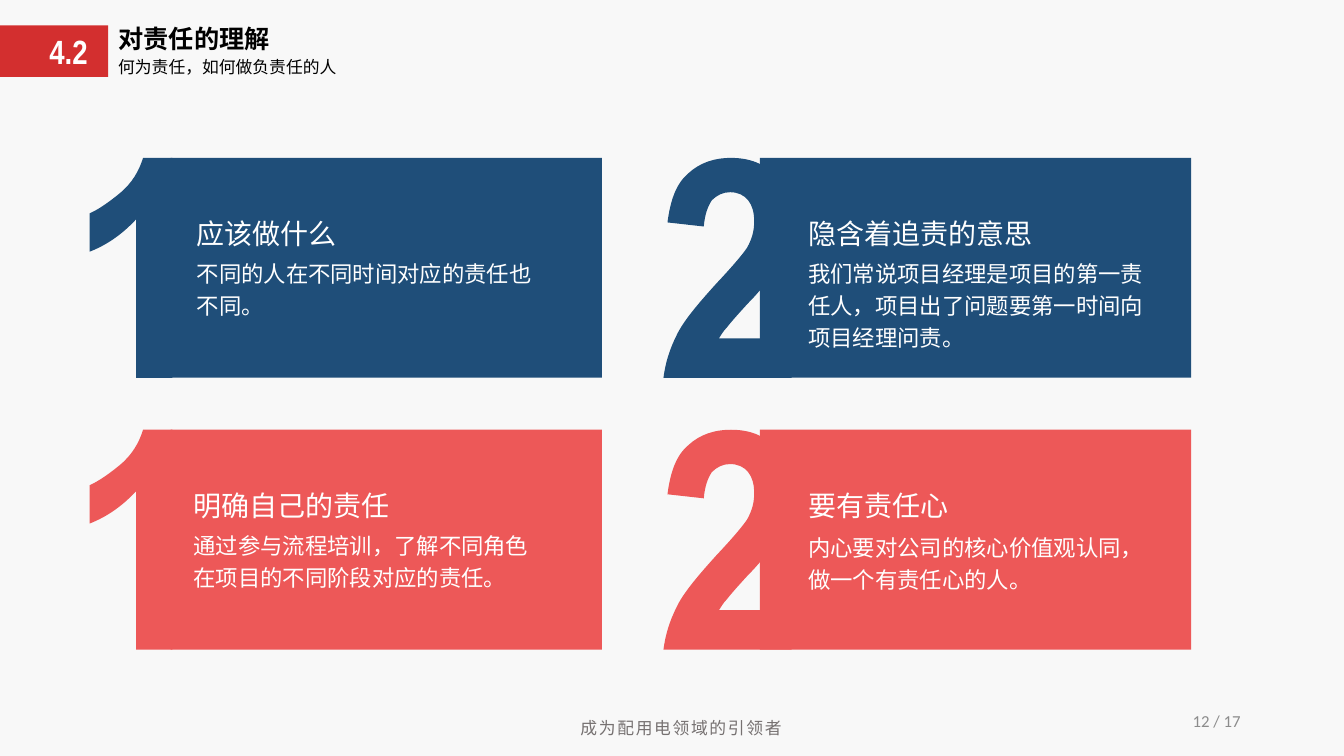
from lxml import etree
from pptx import Presentation
from pptx.dml.color import RGBColor
from pptx.enum.shapes import MSO_SHAPE
from pptx.enum.text import MSO_ANCHOR, MSO_AUTO_SIZE, PP_ALIGN
from pptx.oxml.ns import qn
from pptx.util import Cm, Pt

RECTANGLE = MSO_SHAPE.RECTANGLE
TOP, MIDDLE = MSO_ANCHOR.TOP, MSO_ANCHOR.MIDDLE
LEFT, CENTER, RIGHT = PP_ALIGN.LEFT, PP_ALIGN.CENTER, PP_ALIGN.RIGHT
FIT_SHAPE, NO_AUTOFIT = MSO_AUTO_SIZE.SHAPE_TO_FIT_TEXT, MSO_AUTO_SIZE.NONE

BACKGROUND = RGBColor(0xF8, 0xF8, 0xF8)
RED = RGBColor(0xD3, 0x2F, 0x2F)
BLUE = RGBColor(0x1F, 0x4E, 0x79)
CORAL = RGBColor(0xED, 0x58, 0x58)
WHITE = RGBColor(0xFF, 0xFF, 0xFF)
BLACK = RGBColor(0, 0, 0)
FOOTER_GRAY = RGBColor(0x76, 0x71, 0x71)
PAGE_GRAY = RGBColor(0x8C, 0x8C, 0x8C)

CHINESE_FONT = "Noto Sans CJK SC"
CARD_WIDTH, CARD_HEIGHT = 10.87, 5.54
DIGIT_UNITS = 218

# Digit outlines on a grid 218 units high: a pair is a line end,
# six numbers are the two handles and the end of a Bezier curve.
DIGIT_ONE = [
    (82, 218), (46, 218), (46, 61), (33, 75, 18, 86, 0, 93), (0, 55),
    (9, 51, 19, 44, 30, 35), (42, 25, 49, 13, 53, 0), (82, 0),
]
DIGIT_TWO = [
    (127, 179), (127, 218), (0, 218),
    (2, 203, 6, 190, 13, 176), (19, 163, 33, 146, 53, 124),
    (69, 107, 79, 95, 83, 89), (88, 80, 90, 72, 90, 63),
    (90, 54, 88, 47, 84, 42), (80, 37, 74, 34, 66, 34),
    (59, 34, 53, 37, 48, 42), (44, 48, 41, 56, 40, 68), (4, 64),
    (7, 41, 13, 25, 25, 15), (36, 5, 50, 0, 67, 0),
    (86, 0, 100, 6, 111, 17), (121, 29, 127, 43, 127, 60),
    (127, 70, 125, 79, 122, 88), (119, 97, 114, 106, 108, 116),
    (103, 122, 96, 132, 84, 144), (73, 156, 66, 164, 63, 168),
    (59, 172, 57, 176, 55, 179),
]

# Column: digit outline, digit left, card left
COLUMNS = [(DIGIT_ONE, 2.26, 4.3), (DIGIT_TWO, 16.72, 19.15)]

# Row: colour, top, text box fill, then for each card:
# text left, heading width, body offset, body height, heading, body
ROWS = [
    (BLUE, 3.98, None, [
        (4.71, 6.1, 2.31, 1.78, "应该做什么",
         "不同的人在不同时间对应的责任也不同。"),
        (20.12, 6.86, 2.31, 2.62, "隐含着追责的意思",
         "我们常说项目经理是项目的第一责任人，项目出了问题要第一时间向项目经理问责。"),
    ]),
    (CORAL, 10.83, CORAL, [
        (4.63, 6.1, 2.31, 1.78, "明确自己的责任",
         "通过参与流程培训，了解不同角色在项目的不同阶段对应的责任。"),
        (20.12, 6.1, 2.36, 1.78, "要有责任心",
         "内心要对公司的核心价值观认同，做一个有责任心的人。"),
    ]),
]


def paint(shape, color):
    """Give a flat fill without outline or shadow."""
    shape.shadow.inherit = False
    shape.fill.solid()
    shape.fill.fore_color.rgb = color
    shape.line.fill.background()


def write(shape, text, size, color, font=CHINESE_FONT, bold=False, align=LEFT,
          anchor=TOP, fit=FIT_SHAPE, line_spacing=1.0, tracking=0):
    frame = shape.text_frame
    para = frame.paragraphs[0]
    span = para.add_run()
    span.text = text
    formats = {
        frame: {"word_wrap": True, "auto_size": fit, "vertical_anchor": anchor},
        para: {"alignment": align, "line_spacing": line_spacing},
        span.font: {"name": font, "size": Pt(size), "bold": bold},
    }
    for target, values in formats.items():
        for name, value in values.items():
            setattr(target, name, value)
    span.font.color.rgb = color
    properties = span._r.get_or_add_rPr()
    etree.SubElement(properties, qn("a:ea")).set("typeface", font)
    if tracking:
        properties.set("spc", str(tracking))


def add_rectangle(parent, place, color):
    box = parent.shapes.add_shape(RECTANGLE, *map(Cm, place))
    paint(box, color)
    return box


def add_text(parent, place, text, size, color, fill=None, **options):
    if fill is None:
        box = parent.shapes.add_textbox(*map(Cm, place))
    else:
        box = add_rectangle(parent, place, fill)
    write(box, text, size, color, **options)


def bend(line, handles):
    """Turn a straight path segment into a Bezier curve with two handles."""
    line.tag = qn("a:cubicBezTo")
    for index in (0, 1):
        point = etree.Element(qn("a:pt"))
        for name, value in zip("xy", handles[2 * index:]):
            point.set(name, str(value))
        line.insert(index, point)


def add_digit(slide, outline, left, top, color):
    ends = [segment[-2:] for segment in outline]
    builder = slide.shapes.build_freeform(
        *ends[0], scale=Cm(CARD_HEIGHT) / DIGIT_UNITS)
    builder.add_line_segments(ends[1:], close=True)
    digit = builder.convert_to_shape(Cm(left), Cm(top))
    lines = list(digit._element.iter(qn("a:lnTo")))
    for line, segment in zip(lines, outline[1:]):
        if len(segment) == 6:
            bend(line, segment[:4])
    paint(digit, color)


def add_header(slide):
    add_rectangle(slide, (0, 0.64, 2.73, 1.3), RED)
    title = slide.shapes.title
    title.left, title.top, title.width, title.height = map(
        Cm, (2.73, 0.46, 6.32, 1.02))
    write(title, "对责任的理解", 18, BLACK, bold=True)
    add_text(slide, (2.73, 1.3, 7.01, 0.76), "何为责任，如何做负责任的人", 12, BLACK)
    add_text(slide, (0.72, 0.66, 2.01, 1.27), "4.2", 24, WHITE,
             font="Arial Narrow", bold=True, align=CENTER)


def add_cards(slide):
    for color, top, text_fill, cards in ROWS:
        for (outline, digit_left, left), card in zip(COLUMNS, cards):
            text_left, heading_width, offset, body_height, heading, body = card
            add_digit(slide, outline, digit_left, top, color)
            add_rectangle(slide, (left, top, CARD_WIDTH, CARD_HEIGHT), color)
            group = slide.shapes.add_group_shape()
            add_text(group, (text_left, top + 1.35, heading_width, 1.12),
                     heading, 20, WHITE, fill=text_fill)
            add_text(group, (text_left, top + offset, 9.4, body_height),
                     body, 16, WHITE, fill=text_fill, line_spacing=1.2)


def add_footer(slide):
    add_text(slide, (14.38, 17.96, 6.35, 0.76), "成为配用电领域的引领者", 12,
             FOOTER_GRAY, tracking=120)
    add_text(slide, (23.9, 17.65, 7.62, 1.02), "12 / 17", 12, PAGE_GRAY,
             font="Calibri", align=RIGHT, anchor=MIDDLE, fit=NO_AUTOFIT)


def main():
    deck = Presentation()
    deck.slide_width, deck.slide_height = Cm(33.87), Cm(19.05)
    slide = deck.slides.add_slide(deck.slide_layouts.get_by_name("Title Only"))
    slide.background.fill.solid()
    slide.background.fill.fore_color.rgb = BACKGROUND
    add_header(slide)
    add_cards(slide)
    add_footer(slide)
    deck.save("out.pptx")


if __name__ == "__main__":
    main()
